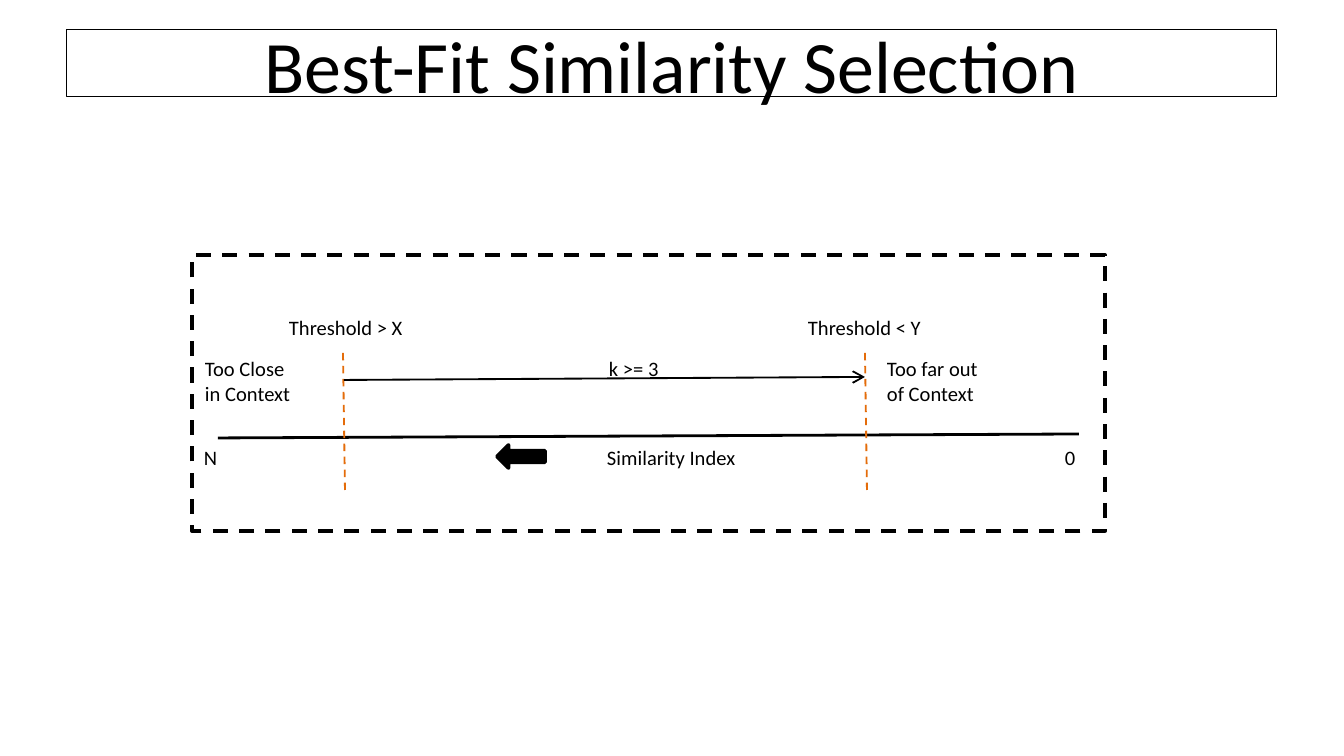
import pptx
import pptx.util
import pptx.dml.color
import pptx.enum.dml
import pptx.enum.shapes
import pptx.enum.text
import pptx.oxml.ns
import lxml.etree

SCALE = 9144000 / 1344
COLORS = {"ink": "000000", "threshold": "E46C0A", "paper": "FFFFFF"}
FONT = "Calibri"
DASH = pptx.enum.dml.MSO_LINE.DASH
SHAPES = pptx.enum.shapes.MSO_SHAPE
ALIGN = pptx.enum.text.PP_ALIGN


def px(length):
    """Turn picture pixels into EMU."""
    return pptx.util.Emu(round(length * SCALE))


def color(name):
    """Look up a named colour."""
    return pptx.dml.color.RGBColor.from_string(COLORS[name])


def style_line(line, name, width, dash=None):
    """Set the colour, width and dash of a line."""
    line.color.rgb = color(name)
    line.width = pptx.util.Pt(width)
    if dash is not None:
        line.dash_style = dash


def write(shape, text, size, align):
    """Fill a shape with styled text, one paragraph per line."""
    frame = shape.text_frame
    frame.text = text
    frame.vertical_anchor = pptx.enum.text.MSO_ANCHOR.MIDDLE
    for para in frame.paragraphs:
        para.alignment = align
        for span in para.runs:
            span.font.name = FONT
            span.font.size = pptx.util.Pt(size)
            span.font.color.rgb = color("ink")


def add_block(page, kind, box, width, fill=None, dash=None):
    """Add an outlined preset shape."""
    shape = page.shapes.add_shape(kind, *map(px, box))
    shape.shadow.inherit = False
    if fill:
        shape.fill.solid()
        shape.fill.fore_color.rgb = color(fill)
    else:
        shape.fill.background()
    style_line(shape.line, "ink", width, dash)
    return shape


def add_rule(page, start, end, name, width, dash=None, arrow=False):
    """Add a straight line, with an arrowhead at its end if asked."""
    rule = page.shapes.add_connector(
        pptx.enum.shapes.MSO_CONNECTOR.STRAIGHT, *map(px, start + end))
    style_line(rule.line, name, width, dash)
    qn = pptx.oxml.ns.qn
    if arrow:
        head = lxml.etree.SubElement(rule.line._get_or_add_ln(), qn("a:tailEnd"))
        head.set("type", "arrow")
    lxml.etree.SubElement(rule._element.spPr, qn("a:effectLst"))


def add_label(page, left, middle, width, text):
    """Add a left-aligned label centred on a height."""
    height = 25 * len(text.split("\n"))
    box = (left, middle - height / 2, width, height)
    label = page.shapes.add_textbox(*map(px, box))
    frame = label.text_frame
    frame.margin_left = frame.margin_right = 0
    frame.margin_top = frame.margin_bottom = 0
    frame.word_wrap = False
    write(label, text, 11, ALIGN.LEFT)


def add_title(page, box, text):
    """Add the framed title."""
    title = add_block(page, SHAPES.RECTANGLE, box, 0.5)
    title.text_frame.word_wrap = True
    write(title, text, 39.6, ALIGN.CENTER)


def add_similarity_scale(page, box):
    """Draw the similarity index between its two thresholds."""
    left, top, width, height = box
    near, far = left + 151, left + 673

    add_rule(page, (left + 26, top + 183), (left + 887, top + 179), "ink", 1.5)
    for threshold in (near, far):
        add_rule(page, (threshold, top + 98), (threshold + 2, top + 236),
                 "threshold", 1, DASH)
    add_block(page, SHAPES.LEFT_ARROW, (left + 305, top + 190, 48, 23), 2, "ink")
    add_rule(page, (near + 1, top + 125), (far, top + 122), "ink", 1, arrow=True)
    add_block(page, SHAPES.RECTANGLE, box, 2, dash=DASH)

    labels = [
        (97, 72, 114, "Threshold > X"),
        (616, 72, 114, "Threshold < Y"),
        (13, 126, 86, "Too Close\nin Context"),
        (417, 113, 50, "k >= 3"),
        (695, 126, 92, "Too far out\nof Context"),
        (12, 202, 13, "N"),
        (415, 202, 129, "Similarity Index"),
        (873, 202, 11, "0"),
    ]
    for offset, middle, label_width, text in labels:
        add_label(page, left + offset, top + middle, label_width, text)


def main():
    """Build the deck and save it."""
    deck = pptx.Presentation()
    deck.slide_width, deck.slide_height = px(1344), px(756)
    page = deck.slides.add_slide(deck.slide_layouts[6])
    page.background.fill.solid()
    page.background.fill.fore_color.rgb = color("paper")
    add_title(page, (67, 30, 1210, 67), "Best-Fit Similarity Selection")
    add_similarity_scale(page, (192, 255, 913, 276))
    deck.save("out.pptx")


main()
